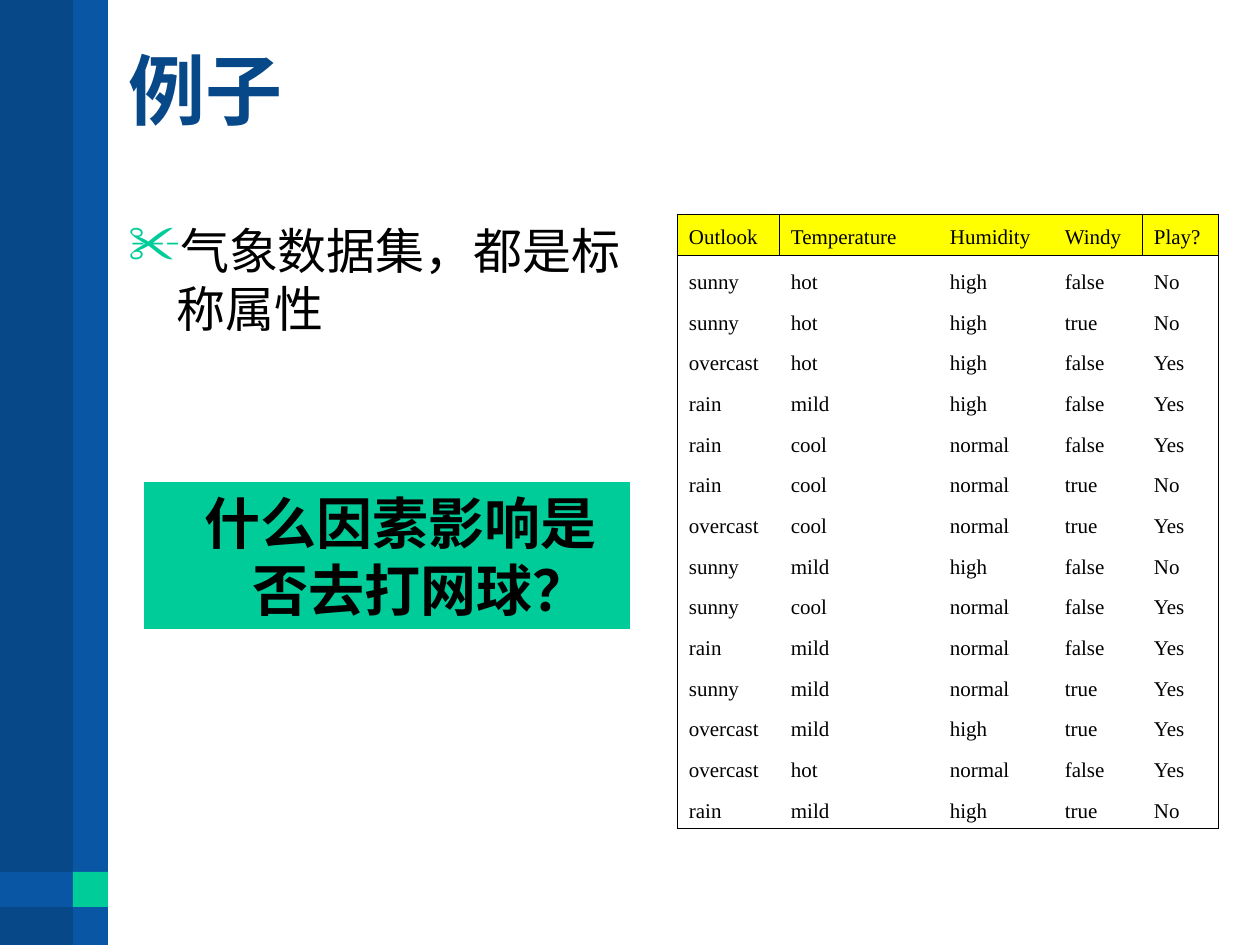
from lxml.etree import SubElement
from pptx import Presentation
from pptx.dml.color import RGBColor
from pptx.enum.shapes import MSO_SHAPE
from pptx.enum.text import MSO_ANCHOR, PP_ALIGN
from pptx.oxml.ns import qn
from pptx.util import Emu, Pt

PX = 914400 / 126
NAVY = RGBColor(0x07, 0x48, 0x88)
BLUE = RGBColor(0x08, 0x56, 0xA4)
GREEN = RGBColor(0x00, 0xCC, 0x99)
YELLOW = RGBColor(0xFF, 0xFF, 0x00)
BLACK = RGBColor(0x00, 0x00, 0x00)
HAIRLINE, THIN = Pt(0.06), Pt(0.45)

COLUMN_WIDTHS = (102, 159, 115, 89, 76)
HEADER_HEIGHT, FIRST_DAY_HEIGHT = 41, 45
WEATHER = """Outlook Temperature Humidity Windy Play?
sunny hot high false No
sunny hot high true No
overcast hot high false Yes
rain mild high false Yes
rain cool normal false Yes
rain cool normal true No
overcast cool normal true Yes
sunny mild high false No
sunny cool normal false Yes
rain mild normal false Yes
sunny mild normal true Yes
overcast mild high true Yes
overcast hot normal false Yes
rain mild high true No"""


def px(length):
    """Turn px into EMU."""
    return Emu(round(length * PX))


def write(frame, text, *, size, font="Arial", color=BLACK, bold=False, anchor=MSO_ANCHOR.TOP,
          margin=0, hanging=0, before=None, spacing=None, bullet=None):
    """Put one formatted paragraph into a text frame."""
    frame.word_wrap = True
    frame.vertical_anchor = anchor
    paragraph = frame.paragraphs[0]
    paragraph.alignment = PP_ALIGN.LEFT
    paragraph.space_before = before
    paragraph.line_spacing = spacing
    run = paragraph.add_run()
    run.text = text
    run.font.name, run.font.size, run.font.bold = font, Pt(size), bold
    run.font.color.rgb = color
    properties = paragraph._p.get_or_add_pPr()
    properties.set("marL", str(px(margin)))
    properties.set("indent", str(-px(hanging)))
    if bullet:
        tint = SubElement(properties, qn("a:buClr"))
        SubElement(tint, qn("a:srgbClr"), val=str(GREEN))
        SubElement(properties, qn("a:buSzPct"), val="110000")
        SubElement(properties, qn("a:buChar"), char=bullet)


def add_block(slide, box, color):
    """Add a plain filled rectangle."""
    block = slide.shapes.add_shape(MSO_SHAPE.RECTANGLE, *map(px, box))
    block.shadow.inherit = False
    block.fill.solid()
    block.fill.fore_color.rgb = color
    block.line.fill.background()
    return block


def add_sidebar(slide, box):
    """Draw the two vertical bands and the square crossing near the foot."""
    left, top, width, height = box
    band, square = 73, 35
    crossing = top + height - 73
    add_block(slide, (left, top, width - 4, height), NAVY)
    add_block(slide, (left + band, top, square, height), BLUE)
    add_block(slide, (left, crossing, width - 4, square), BLUE)
    add_block(slide, (left + band, crossing, square, square), GREEN)


def add_text(slide, box, text, **style):
    """Add a text box."""
    write(slide.shapes.add_textbox(*map(px, box)).text_frame, text, **style)


def add_question(slide, box):
    """Draw the green question panel."""
    write(add_block(slide, box, GREEN).text_frame, "什么因素影响是否去打网球？",
          size=32, bold=True, margin=96, hanging=48, before=Pt(8))


def set_border(cell, side, width):
    """Draw one side of a cell, or clear it when width is None."""
    line = SubElement(cell._tc.get_or_add_tcPr(), qn(f"a:ln{side}"), w=str(width or 0))
    if width is None:
        SubElement(line, qn("a:noFill"))
    else:
        fill = SubElement(line, qn("a:solidFill"))
        SubElement(fill, qn("a:srgbClr"), val=str(BLACK))


def add_weather_table(slide, box):
    """Build the weather table with a yellow header and an outer frame."""
    days = [line.split() for line in WEATHER.splitlines()]
    last_row, last_column = len(days) - 1, len(COLUMN_WIDTHS) - 1
    table = slide.shapes.add_table(len(days), len(COLUMN_WIDTHS), *map(px, box)).table
    table.horz_banding = False
    for column, width in zip(table.columns, COLUMN_WIDTHS):
        column.width = px(width)
    day_height = (box[3] - HEADER_HEIGHT - FIRST_DAY_HEIGHT) / (last_row - 1)
    heights = [HEADER_HEIGHT, FIRST_DAY_HEIGHT] + [day_height] * (last_row - 1)
    for r, (values, height) in enumerate(zip(days, heights)):
        table.rows[r].height = px(height)
        for c, value in enumerate(values):
            cell = table.cell(r, c)
            write(cell.text_frame, value, size=12, font="Times New Roman")
            cell.vertical_anchor = MSO_ANCHOR.BOTTOM
            cell.margin_left = cell.margin_right = px(12)
            cell.margin_top = cell.margin_bottom = px(6)
            header = r == 0
            set_border(cell, "L", HAIRLINE if c == 0 else
                       THIN if header and c in (1, last_column) else None)
            set_border(cell, "R", HAIRLINE if c == last_column else
                       THIN if header and c in (0, last_column - 1) else None)
            set_border(cell, "T", THIN if r <= 1 else None)
            set_border(cell, "B", THIN if r in (0, last_row) else None)
            if header:
                cell.fill.solid()
                cell.fill.fore_color.rgb = YELLOW
            else:
                cell.fill.background()


def main():
    """Build and save the slide."""
    deck = Presentation()
    deck.slide_width, deck.slide_height = px(1260), px(945)
    slide = deck.slides.add_slide(deck.slide_layouts[6])
    add_sidebar(slide, (0, 0, 108, 945))
    add_text(slide, (116, 28, 1103, 158), "例子", size=44, color=NAVY, bold=True,
             anchor=MSO_ANCHOR.MIDDLE, spacing=Pt(32))
    add_text(slide, (116, 214, 541, 615), "气象数据集，都是标称属性", size=28,
             margin=48, hanging=48, bullet="✂")
    add_question(slide, (144, 482, 486, 147))
    add_weather_table(slide, (677, 214, 541, 615))
    deck.save("out.pptx")


if __name__ == "__main__":
    main()
